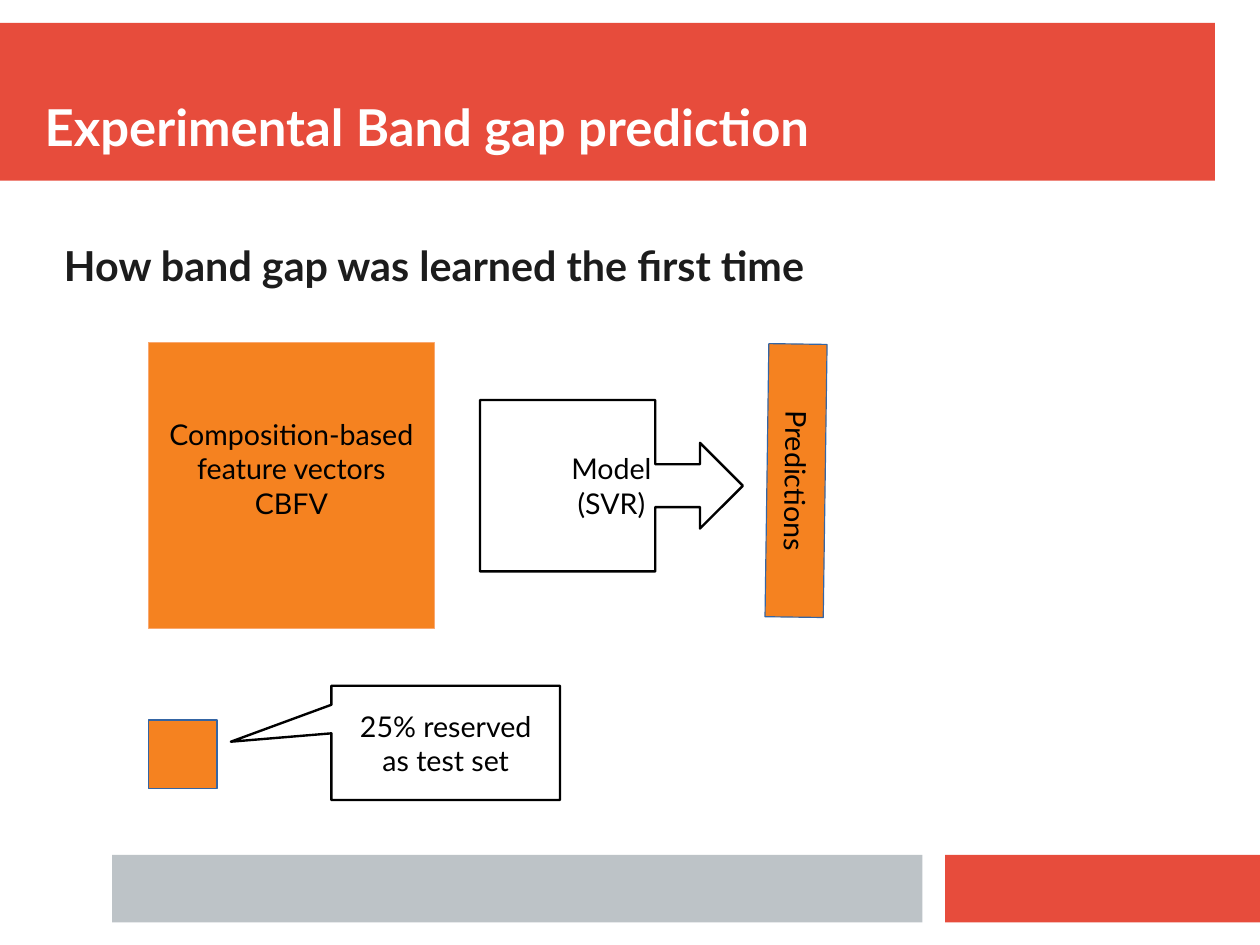
from lxml import etree
from pptx import Presentation
from pptx import util as u
from pptx.dml.color import RGBColor
from pptx.enum import shapes, text
from pptx.oxml.ns import qn

CELL = 0.1  # grid step in inches
RED, GREY, ORANGE = "E74C3C", "BDC3C7", "F58220"
PEACH, BLUE, BLACK, INK, WHITE = "F9A870", "3465A4", "000000", "1C1C1C", "FFFFFF"


def rgb(value):
    return RGBColor.from_string(value)


def grid(*cells):
    return [u.Inches(c * CELL) for c in cells]


class Deck:
    font = "Lato"
    label_size = 18

    def __init__(self, cols, rows):
        self.prs = Presentation()
        self.prs.slide_width, self.prs.slide_height = grid(cols, rows)
        self.s = self.prs.slides.add_slide(self.prs.slide_layouts[1])

    def set_text(self, tf, words, size, color, bold=False,
                 align=text.PP_ALIGN.LEFT, insets=(0, 0, 0, 0)):
        tf.text = words
        tf.auto_size = text.MSO_AUTO_SIZE.NONE
        (tf.margin_left, tf.margin_top,
         tf.margin_right, tf.margin_bottom) = grid(*insets)
        for p in tf.paragraphs:
            p.alignment = align
            p.space_before = u.Pt(0)
            for r in p.runs:
                r.font.name, r.font.size = self.font, u.Pt(size)
                r.font.bold, r.font.color.rgb = bold, rgb(color)

    def holder(self, index, box, words, size, color, anchor):
        """Move a template placeholder to the front and fill it."""
        sp = self.s.placeholders[index]
        self.s.shapes._spTree.append(sp._element)
        sp.left, sp.top, sp.width, sp.height = grid(*box)
        tf = sp.text_frame
        self.set_text(tf, words, size, color, bold=True)
        tf.word_wrap, tf.vertical_anchor = True, anchor
        for p in tf.paragraphs:
            pPr = p._p.get_or_add_pPr()
            pPr.set("marL", "0")
            pPr.set("indent", "0")
            etree.SubElement(pPr, qn("a:buNone"))

    def paint(self, sp, fill=None, line=None, weight=0.75):
        sp.shadow.inherit = False
        if fill:
            sp.fill.solid()
            sp.fill.fore_color.rgb = rgb(fill)
        else:
            sp.fill.background()
        if line:
            sp.line.color.rgb = rgb(line)
            sp.line.width = u.Pt(weight)
        else:
            sp.line.fill.background()
        return sp

    def label(self, sp, words, insets=(1, 0.5, 1, 0.5)):
        tf = sp.text_frame
        self.set_text(tf, words, self.label_size, BLACK,
                      align=text.PP_ALIGN.CENTER, insets=insets)
        tf.word_wrap = False
        tf.vertical_anchor = text.MSO_ANCHOR.MIDDLE

    def rect(self, box, fill, line=None):
        kind = shapes.MSO_SHAPE.RECTANGLE
        return self.paint(self.s.shapes.add_shape(kind, *grid(*box)), fill, line)

    def callout(self, box, tip):
        kind = shapes.MSO_SHAPE.RECTANGULAR_CALLOUT
        sp = self.s.shapes.add_shape(kind, *grid(*box))
        sp.adjustments[0], sp.adjustments[1] = tip
        return self.paint(sp, line=BLACK, weight=1.5)

    def box_arrow(self, left, top, width, height):
        """Box with an arrow leaving the middle of its right side."""
        part = height / 4
        right, mid = left + width, top + height / 2
        head, edge = right - part, left + width * 2 / 3
        upper = [(left, top), (edge, top), (edge, mid - part / 2),
                 (head, mid - part / 2), (head, mid - part)]
        lower = [(x, 2 * mid - y) for x, y in reversed(upper)]
        pts = [grid(*pt) for pt in upper + [(right, mid)] + lower]
        fb = self.s.shapes.build_freeform(*pts[0])
        fb.add_line_segments(pts[1:], close=True)
        return self.paint(fb.convert_to_shape(), line=BLACK, weight=1.5)


deck = Deck(110.24, 82.68)

# Header and footer bars
for box, color in [((0, 2, 106.3, 13.8), RED),
                   ((82.7, 74.8, 27.54, 5.9), RED),
                   ((9.8, 74.8, 70.9, 5.9), GREY)]:
    deck.rect(box, color)

# Title and heading
deck.holder(0, (3.9, 3.9, 102.4, 9.8), "Experimental Band gap prediction",
            32, WHITE, text.MSO_ANCHOR.BOTTOM)
deck.holder(1, (5.6, 21, 100.4, 51.2), "How band gap was learned the first time",
            26, INK, text.MSO_ANCHOR.TOP)

# Features, model and predictions
features = deck.rect((13, 30, 25, 25), ORANGE, PEACH)
deck.label(features, "Composition-based\nfeature vectors\nCBFV", (1, 0.5, 1, 3.5))

predictions = deck.rect((57.7, 39.5, 23.9, 5.1), ORANGE, BLUE)
predictions.rotation = 90.8
deck.label(predictions, "Predictions")

model = deck.box_arrow(42, 35, 23, 15)
deck.label(model, "Model\n(SVR)")

# Held-out test set
deck.rect((13, 63, 6, 6), ORANGE, BLUE)
test_note = deck.callout((29, 60, 20, 10), (-0.94, -0.01))
deck.label(test_note, "25% reserved\nas test set")

deck.prs.save("out.pptx")
